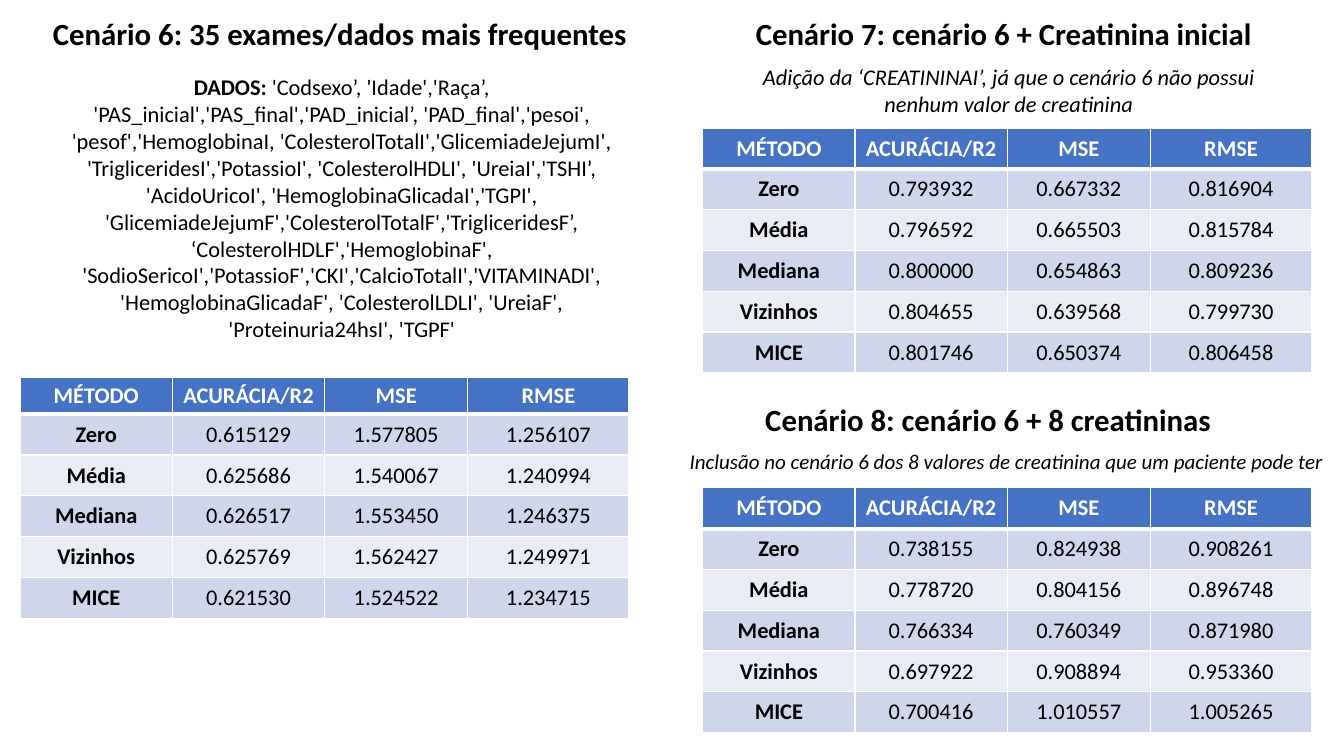
import pptx
import pptx.dml.color
import pptx.enum.text
import pptx.oxml
import pptx.oxml.ns
import pptx.util
from pptx.util import Inches

COLORS = {"text": "000000", "white": "FFFFFF", "header": "4472C4",
          "odd": "CFD5EA", "even": "E9EBF5"}


def write(paragraph, text, size=16, bold=False, italic=False, color="text"):
    paragraph.alignment = pptx.enum.text.PP_ALIGN.CENTER
    run = paragraph.add_run()
    run.text = text
    run.font.name = "Calibri"
    run.font.size = pptx.util.Pt(size)
    run.font.bold = bold
    run.font.italic = italic
    run.font.color.rgb = pptx.dml.color.RGBColor.from_string(COLORS[color])


def add_text_frame(left, top, width, height):
    box = slide.shapes.add_textbox(Inches(left), Inches(top), Inches(width), Inches(height))
    frame = box.text_frame
    frame.word_wrap = True
    frame.auto_size = pptx.enum.text.MSO_AUTO_SIZE.SHAPE_TO_FIT_TEXT
    return frame


deck = pptx.Presentation()
deck.slide_width, deck.slide_height = Inches(13.33), Inches(7.5)
slide = deck.slides.add_slide(deck.slide_layouts[6])

# Scenario titles
titles = [
    ("Cenário 6: 35 exames/dados mais frequentes", 0.36, 0.1, 6.02),
    ("Cenário 7: cenário 6 + Creatinina inicial", 6.58, 0.1, 6.75),
    ("Cenário 8: cenário 6 + 8 creatininas", 6.58, 3.93, 6.44),
]
for title, left, top, width in titles:
    write(add_text_frame(left, top, width, 0.47).paragraphs[0], title, size=22, bold=True)

# Exams used in scenario 6
exams = add_text_frame(0.54, 0.68, 5.7, 3.06)
write(exams.paragraphs[0], "DADOS:", bold=True)
write(exams.paragraphs[0], " 'Codsexo’, 'Idade','Raça’, 'PAS_inicial','PAS_final',"
      "'PAD_inicial’, 'PAD_final','pesoi',")
write(exams.add_paragraph(),
      "'pesof','HemoglobinaI, 'ColesterolTotalI','GlicemiadeJejumI', "
      "'TrigliceridesI','PotassioI', 'ColesterolHDLI', 'UreiaI','TSHI’, "
      "'AcidoUricoI', 'HemoglobinaGlicadaI','TGPI', "
      "'GlicemiadeJejumF','ColesterolTotalF','TrigliceridesF’, "
      "‘ColesterolHDLF','HemoglobinaF', "
      "'SodioSericoI','PotassioF','CKI','CalcioTotalI','VITAMINADI', "
      "'HemoglobinaGlicadaF', 'ColesterolLDLI', 'UreiaF', 'Proteinuria24hsI', 'TGPF'")

# Descriptions of scenarios 7 and 8
write(add_text_frame(7.3, 0.58, 5.41, 0.64).paragraphs[0],
      "Adição da ‘CREATININAI’, já que o cenário 6 não possui nenhum valor de creatinina",
      italic=True)
write(add_text_frame(6.71, 4.4, 6.54, 0.35).paragraphs[0],
      "Inclusão no cenário 6 dos 8 valores de creatinina que um paciente pode ter",
      size=15, italic=True)

# Result tables: left, top, header height, values by method
headings = ["MÉTODO", "ACURÁCIA/R2", "MSE", "RMSE"]
methods = ["Zero", "Média", "Mediana", "Vizinhos", "MICE"]
column_widths = [1.51, 1.51, 1.42, 1.6]
row_height = 2.43 / 6
results = [
    (0.2, 3.74, 0.37, [
        ["0.615129", "1.577805", "1.256107"],
        ["0.625686", "1.540067", "1.240994"],
        ["0.626517", "1.553450", "1.246375"],
        ["0.625769", "1.562427", "1.249971"],
        ["0.621530", "1.524522", "1.234715"]]),
    (6.97, 1.27, row_height, [
        ["0.793932", "0.667332", "0.816904"],
        ["0.796592", "0.665503", "0.815784"],
        ["0.800000", "0.654863", "0.809236"],
        ["0.804655", "0.639568", "0.799730"],
        ["0.801746", "0.650374", "0.806458"]]),
    (6.97, 4.84, row_height, [
        ["0.738155", "0.824938", "0.908261"],
        ["0.778720", "0.804156", "0.896748"],
        ["0.766334", "0.760349", "0.871980"],
        ["0.697922", "0.908894", "0.953360"],
        ["0.700416", "1.010557", "1.005265"]]),
]

for left, top, header_height, scores in results:
    rows = [headings] + [[method] + values for method, values in zip(methods, scores)]
    table = slide.shapes.add_table(
        len(rows), len(headings), Inches(left), Inches(top), Inches(sum(column_widths)),
        Inches(header_height + row_height * len(methods))).table
    for column, width in zip(table.columns, column_widths):
        column.width = Inches(width)
    for r, row in enumerate(rows):
        is_header = r == 0
        table.rows[r].height = Inches(header_height if is_header else row_height)
        for c, text in enumerate(row):
            cell = table.cell(r, c)
            cell.vertical_anchor = pptx.enum.text.MSO_ANCHOR.MIDDLE
            write(cell.text_frame.paragraphs[0], text, bold=is_header or c == 0,
                  color="white" if is_header else "text")

            # White borders, thick around the line under the header
            for side in "LRTB":
                thick = (r, side) in [(0, "B"), (1, "T")]
                cell._tc.get_or_add_tcPr().append(pptx.oxml.parse_xml(
                    f'<a:ln{side} {pptx.oxml.ns.nsdecls("a")} '
                    f'w="{pptx.util.Pt(3 if thick else 1)}"><a:solidFill>'
                    f'<a:srgbClr val="{COLORS["white"]}"/></a:solidFill></a:ln{side}>'))
            band = "header" if is_header else "odd" if r % 2 else "even"
            cell.fill.solid()
            cell.fill.fore_color.rgb = pptx.dml.color.RGBColor.from_string(COLORS[band])

deck.save("out.pptx")
